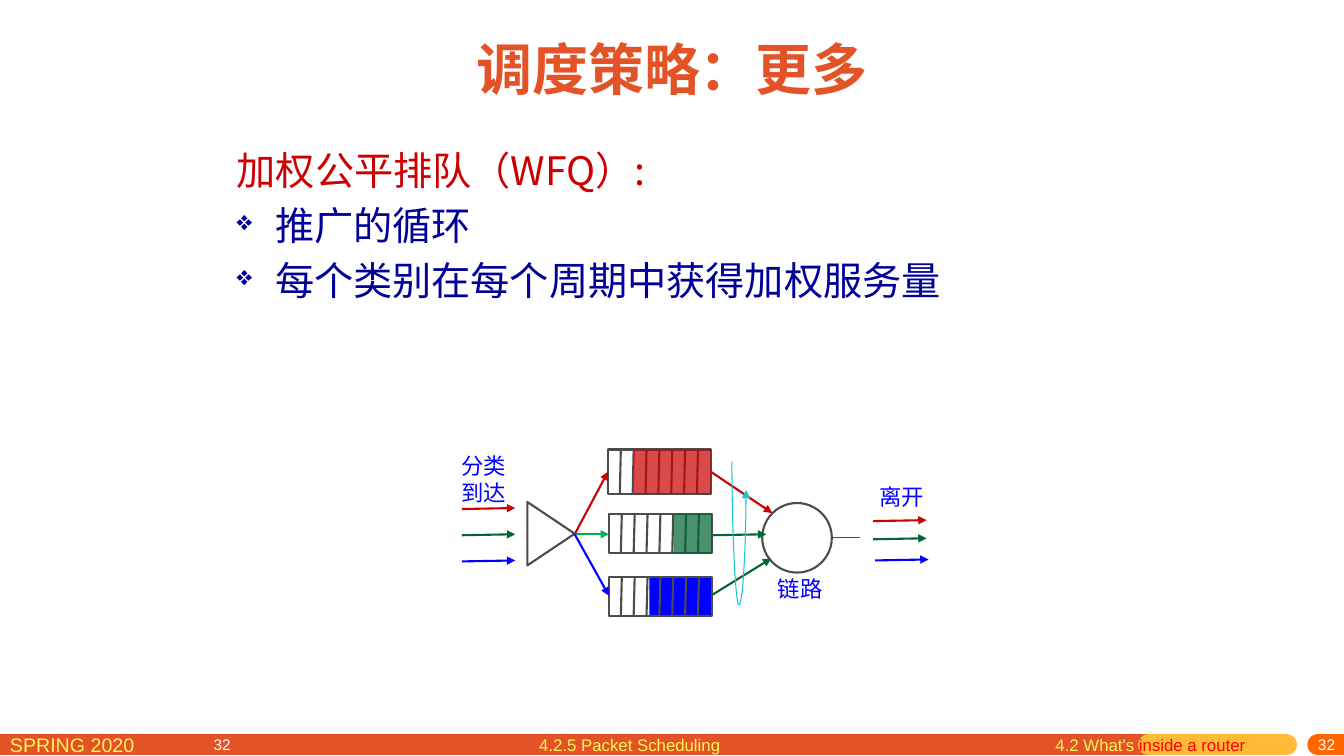
"""Build the slide on weighted fair queuing with its scheduler diagram."""
from dataclasses import dataclass
from typing import Optional

from lxml.etree import SubElement
from pptx import Presentation
from pptx.dml.color import RGBColor
from pptx.enum.shapes import MSO_CONNECTOR, MSO_SHAPE
from pptx.enum.text import MSO_ANCHOR, PP_ALIGN
from pptx.oxml.ns import qn
from pptx.util import Inches, Pt

ORANGE = RGBColor(0xE4, 0x53, 0x27)
AMBER = RGBColor(0xFF, 0xBA, 0x37)
BRIGHT_ORANGE = RGBColor(0xFF, 0x66, 0x00)
YELLOW = RGBColor(0xFF, 0xF6, 0x5C)
WHITE = RGBColor(0xFF, 0xFF, 0xFF)
PURE_RED = RGBColor(0xFF, 0x00, 0x00)
RED = RGBColor(0xCC, 0x00, 0x00)
GREEN = RGBColor(0x00, 0x66, 0x33)
LIGHT_GREEN = RGBColor(0x00, 0xB0, 0x50)
BLUE = RGBColor(0x00, 0x00, 0xFF)
NAVY = RGBColor(0x00, 0x00, 0x99)
GRAY = RGBColor(0x4C, 0x4C, 0x4C)
CYAN = RGBColor(0x16, 0xC6, 0xCC)
CJK = "Noto Sans CJK SC"
LATIN = "Arial"


@dataclass
class Run:
    text: str
    size: float
    color: RGBColor
    font: str = CJK
    bold: bool = False


@dataclass
class Para:
    runs: list[Run]
    align: PP_ALIGN = PP_ALIGN.LEFT
    before: float = 0
    spacing: Optional[float] = None
    hanging: float = 0
    bullet: str = ""


@dataclass
class TextBox:
    box: tuple[float, float, float, float]
    paras: list[Para]
    anchor: MSO_ANCHOR = MSO_ANCHOR.TOP
    wrap: bool = True
    margin_top: float = 0.05


@dataclass
class Line:
    start: tuple[float, float]
    end: tuple[float, float]
    color: RGBColor
    width: float = 1.5
    arrow: bool = True
    round_cap: bool = False
    kind: MSO_CONNECTOR = MSO_CONNECTOR.STRAIGHT


@dataclass
class Queue:
    left: float
    top: float
    height: float
    fill_left: float
    color: RGBColor
    opacity: int
    fill_on_top: bool = True


def set_values(target, values: dict) -> None:
    """Set each named attribute of the target."""
    for name, value in values.items():
        setattr(target, name, value)


def draw_text(shapes, item: TextBox) -> None:
    """Draw a text box with its paragraphs and runs."""
    frame = shapes.add_textbox(*map(Inches, item.box)).text_frame
    set_values(frame, {"word_wrap": item.wrap, "vertical_anchor": item.anchor,
                       "margin_top": Inches(item.margin_top)})
    for index, para in enumerate(item.paras):
        line = frame.add_paragraph() if index else frame.paragraphs[0]
        set_values(line, {"alignment": para.align, "space_before": Pt(para.before),
                          "line_spacing": Pt(para.spacing) if para.spacing else None})
        props = line._p.get_or_add_pPr()
        if para.hanging:
            props.set("marL", str(Inches(para.hanging)))
            props.set("indent", str(-Inches(para.hanging)))
        if para.bullet:
            SubElement(props, qn("a:buSzPct"), val="70000")
            SubElement(props, qn("a:buChar"), char=para.bullet)
        for part in para.runs:
            run = line.add_run()
            run.text = part.text
            set_values(run.font, {"name": part.font, "size": Pt(part.size), "bold": part.bold})
            run.font.color.rgb = part.color
            SubElement(run._r.get_or_add_rPr(), qn("a:ea"), typeface=part.font)


def draw_line(shapes, item: Line):
    """Draw a connector, with an arrowhead if asked."""
    connector = shapes.add_connector(item.kind, *map(Inches, item.start + item.end))
    connector.line.color.rgb = item.color
    connector.line.width = Pt(item.width)
    outline = connector.line._get_or_add_ln()
    if item.round_cap:
        outline.set("cap", "rnd")
    if item.arrow:
        SubElement(outline, qn("a:tailEnd"), type="triangle")
    SubElement(connector._element.spPr, qn("a:effectLst"))
    return connector


def draw_outline(shapes, kind: MSO_SHAPE, box: tuple[float, float, float, float]):
    """Draw an unfilled gray shape."""
    shape = shapes.add_shape(kind, *map(Inches, box))
    shape.shadow.inherit = False
    shape.fill.background()
    shape.line.color.rgb = GRAY
    shape.line.width = Pt(1.5)
    return shape


def draw_backlog(shapes, queue: Queue) -> None:
    """Draw the filled part of a queue."""
    width = queue.left + QUEUE_WIDTH - queue.fill_left
    backlog = draw_outline(shapes, MSO_SHAPE.RECTANGLE,
                           (queue.fill_left, queue.top, width, queue.height))
    backlog.line.fill.background()
    backlog.fill.solid()
    backlog.fill.fore_color.rgb = queue.color
    color = backlog._element.spPr.find(qn("a:solidFill"))[0]
    SubElement(color, qn("a:alpha"), val=str(queue.opacity * 1000))


def draw_queue(shapes, queue: Queue) -> None:
    """Draw a queue of slots and its backlog."""
    if not queue.fill_on_top:
        draw_backlog(shapes, queue)
    draw_outline(shapes, MSO_SHAPE.RECTANGLE, (queue.left, queue.top, QUEUE_WIDTH, queue.height))
    for slot in range(1, SLOTS):
        x = queue.left + slot * QUEUE_WIDTH / SLOTS
        draw_line(shapes, Line((x, queue.top), (x - 0.01, queue.top + queue.height), GRAY, arrow=False))
    if queue.fill_on_top:
        draw_backlog(shapes, queue)


def draw_cycle(shapes) -> None:
    """Draw the looping arrow of the service cycle."""
    cycle = draw_line(shapes, Line((7.19, 4.79), (7.47, 4.65), CYAN, 0.75, kind=MSO_CONNECTOR.CURVE))
    properties = cycle._element.spPr
    properties.find(qn("a:xfrm")).set("rot", "5400000")
    adjustments = properties.find(qn("a:prstGeom")).find(qn("a:avLst"))
    SubElement(adjustments, qn("a:gd"), name="adj1", fmla="val 507600")


def label(words: list[str], left: float, top: float, height: float) -> TextBox:
    """Return a centred blue diagram label."""
    paras = [Para([Run(word, 16, BLUE)], PP_ALIGN.CENTER, spacing=19.4) for word in words]
    return TextBox((left, top, 0.65, height), paras, wrap=False)


def footer(box: tuple[float, float, float, float], *runs: Run) -> TextBox:
    """Return a footer text box."""
    return TextBox(box, [Para(list(runs))])


def page_number(left: float, align: PP_ALIGN) -> TextBox:
    """Return a page number box."""
    return TextBox((left, 7.32, 2.59, 0.18), [Para([Run("32", 11, WHITE, LATIN)], align)],
                   MSO_ANCHOR.MIDDLE, margin_top=0)


QUEUE_WIDTH = 1.02
SLOTS = 8
FORK = (5.7, 5.3)
BODY = {"spacing": 33.6, "hanging": 0.38}
BULLET = BODY | {"before": 5.6, "bullet": "❖"}
FOOTER_BARS = [
    Line((-0.18, 7.39), (11.39, 7.39), ORANGE, 15, arrow=False),
    Line((11.39, 7.39), (12.76, 7.39), AMBER, 15, arrow=False, round_cap=True),
    Line((13.07, 7.39), (13.6, 7.39), BRIGHT_ORANGE, 15, arrow=False, round_cap=True),
]
QUEUES = [
    Queue(6.03, 4.46, 0.44, 6.29, RED, 71),
    Queue(6.04, 5.1, 0.39, 6.68, GREEN, 71),
    Queue(6.04, 5.72, 0.39, 6.44, BLUE, 100, fill_on_top=False),
]
FLOWS = [Line((x, y), (x + 0.53, y - 0.01), color) for x, y, color in (
    (4.58, 5.05, RED), (4.58, 5.31, GREEN), (4.58, 5.57, BLUE),
    (8.66, 5.17, RED), (8.66, 5.35, GREEN), (8.68, 5.56, BLUE))]
ROUTES = [
    Line(FORK, (6.03, 4.68), RED), Line(FORK, (6.04, 5.3), LIGHT_GREEN), Line(FORK, (6.04, 5.91), BLUE),
    Line((7.05, 4.68), (7.66, 5.09), RED), Line((7.07, 5.31), (7.6, 5.3), GREEN),
    Line((7.05, 5.91), (7.65, 5.54), GREEN), Line((8.25, 5.33), (8.53, 5.33), GRAY, 0.75, arrow=False),
]
TEXTS = [
    footer((0, 7.22, 2.29, 0.31), Run("SPRING 2020", 14, YELLOW, LATIN)),
    page_number(10.75, PP_ALIGN.RIGHT),
    page_number(2.02, PP_ALIGN.LEFT),
    TextBox((2.25, 1.4, 8.5, 2.02), [
        Para([Run("加权公平排队（WFQ）:", 28, RED)], **BODY),
        Para([Run("推广的循环", 28, NAVY)], **BULLET),
        Para([Run("每个类别在每个周期中获得加权服务量", 28, NAVY)], **BULLET)]),
    footer((10.37, 7.24, 2.2, 0.31), Run("4.2 What's ", 12, YELLOW, LATIN),
           Run("inside a router", 12, PURE_RED, LATIN)),
    footer((5.25, 7.24, 2.76, 0.31), Run("4.2.5 Packet Scheduling", 12, YELLOW, LATIN)),
    label(["分类", "到达"], 4.47, 4.43, 0.64),
    label(["离开"], 8.62, 4.74, 0.37),
    label(["链路"], 7.61, 5.65, 0.37),
    TextBox((4.34, 0.05, 4.65, 1.25),
            [Para([Run("调度策略：更多", 40, ORANGE, bold=True)], PP_ALIGN.CENTER)], MSO_ANCHOR.MIDDLE),
]


def main() -> None:
    """Build and save the presentation."""
    deck = Presentation()
    set_values(deck, {"slide_width": Inches(13.33), "slide_height": Inches(7.5)})
    shapes = deck.slides.add_slide(deck.slide_layouts[6]).shapes
    for bar in FOOTER_BARS:
        draw_line(shapes, bar)
    for queue in QUEUES:
        draw_queue(shapes, queue)
    draw_outline(shapes, MSO_SHAPE.ISOSCELES_TRIANGLE, (5.15, 5.06, 0.63, 0.47)).rotation = 90
    draw_outline(shapes, MSO_SHAPE.OVAL, (7.56, 4.99, 0.69, 0.69))
    for arrow in FLOWS + ROUTES:
        draw_line(shapes, arrow)
    draw_cycle(shapes)
    for text in TEXTS:
        draw_text(shapes, text)
    deck.save("out.pptx")


if __name__ == "__main__":
    main()
